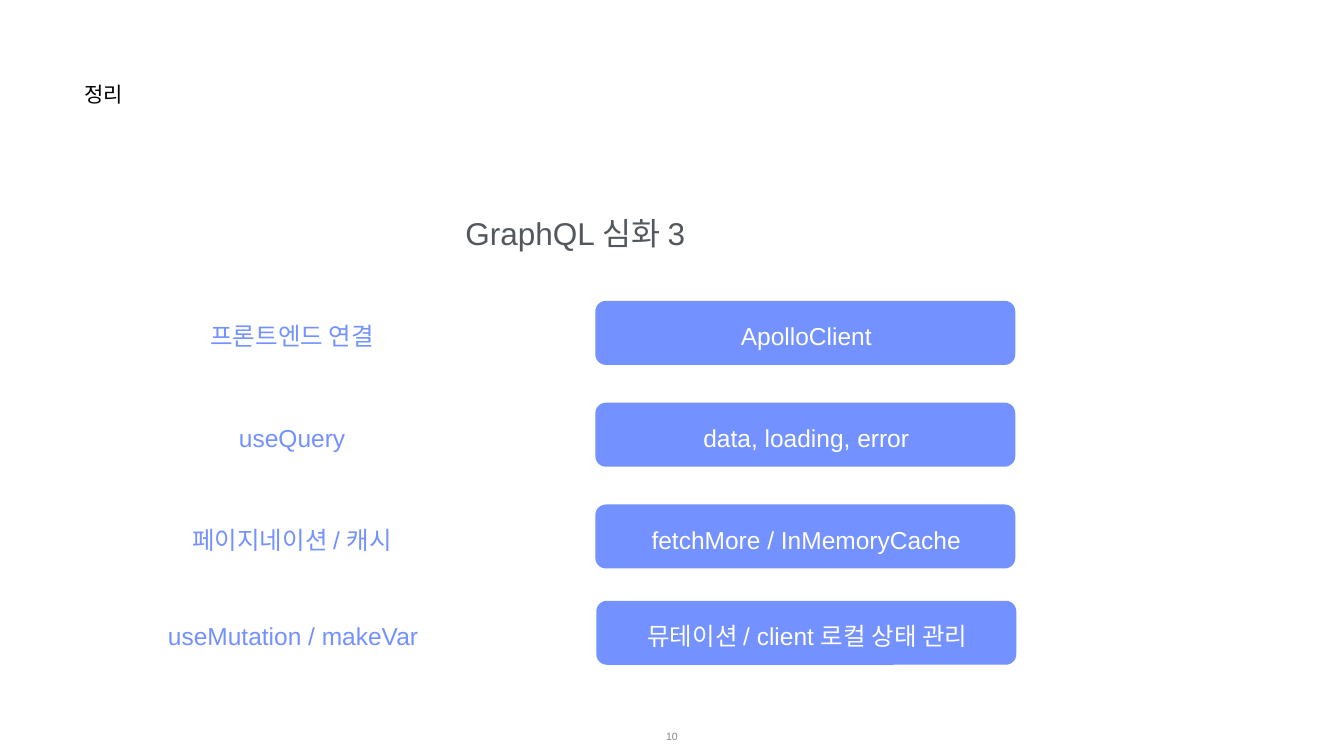
from pptx import Presentation
from pptx.dml.color import RGBColor
from pptx.enum.shapes import MSO_SHAPE
from pptx.enum.text import MSO_ANCHOR, PP_ALIGN
from pptx.util import Inches, Pt

ROUNDED = MSO_SHAPE.ROUNDED_RECTANGLE
TOP, MIDDLE = MSO_ANCHOR.TOP, MSO_ANCHOR.MIDDLE
LEFT, CENTER = PP_ALIGN.LEFT, PP_ALIGN.CENTER

COLORS = {
    "black": "000000",
    "white": "FFFFFF",
    "heading": "53585F",
    "accent": "7391FF",
    "page": "888888",
}
LABEL_LEFT, LABEL_WIDTH = 2.67, 6.25
BAR_LEFT, BAR_WIDTH, BAR_HEIGHT = 11.81, 8.33, 1.27
TEXT_HEIGHT, TEXT_DROP, TEXT_SHIFT = 0.62, 0.38, 0.02

ROWS = [
    (5.97, 0, "프론트엔드 연결", "ApolloClient"),
    (7.99, 0, "useQuery", "data, loading, error"),
    (10.01, 0, "페이지네이션 / 캐시", "fetchMore / InMemoryCache"),
    (11.92, 0.02, "useMutation / makeVar", "뮤테이션 / client 로컬 상태 관리"),
]


class SlideBuilder:
    font = "Arial"
    inset = 0.01
    corner = 0.164

    def __init__(self, slide):
        self.slide = slide

    def color(self, name):
        return RGBColor.from_string(COLORS[name])

    def text(self, box, content, size, color, align=CENTER, anchor=MIDDLE):
        shape = self.slide.shapes.add_textbox(*map(Inches, box))
        frame = shape.text_frame
        frame.word_wrap = True
        frame.vertical_anchor = anchor
        frame.margin_left = frame.margin_right = Inches(self.inset)
        frame.margin_top = frame.margin_bottom = Inches(self.inset)
        paragraph = frame.paragraphs[0]
        paragraph.text = content
        paragraph.alignment = align
        paragraph.font.name = self.font
        paragraph.font.size = Pt(size)
        paragraph.font.color.rgb = self.color(color)

    def bar(self, box, color):
        shape = self.slide.shapes.add_shape(ROUNDED, *map(Inches, box))
        shape.adjustments[0] = self.corner
        shape.shadow.inherit = False
        shape.fill.solid()
        shape.fill.fore_color.rgb = self.color(color)
        shape.line.fill.background()

    def row(self, top, shift, label, detail):
        bar_left = BAR_LEFT + shift
        text_top = top + TEXT_DROP
        self.bar((bar_left, top, BAR_WIDTH, BAR_HEIGHT), "accent")
        self.text((LABEL_LEFT + shift, text_top, LABEL_WIDTH, TEXT_HEIGHT),
                  label, 35, "accent")
        self.text((bar_left + TEXT_SHIFT, text_top, BAR_WIDTH, TEXT_HEIGHT),
                  detail, 35, "white")


def main():
    presentation = Presentation()
    presentation.slide_width = Inches(26.66)
    presentation.slide_height = Inches(15)
    builder = SlideBuilder(presentation.slides.add_slide(presentation.slide_layouts[6]))

    builder.text((1.67, 1.6, 4.86, 1.18), "정리", 30, "black", LEFT, TOP)
    builder.text((2.64, 4.24, 17.54, 0.79), "GraphQL 심화 3", 45, "heading", anchor=TOP)
    for row in ROWS:
        builder.row(*row)
    builder.text((10.33, 14.21, 6, 0.79), "10", 15, "page")

    presentation.save("out.pptx")


if __name__ == "__main__":
    main()
